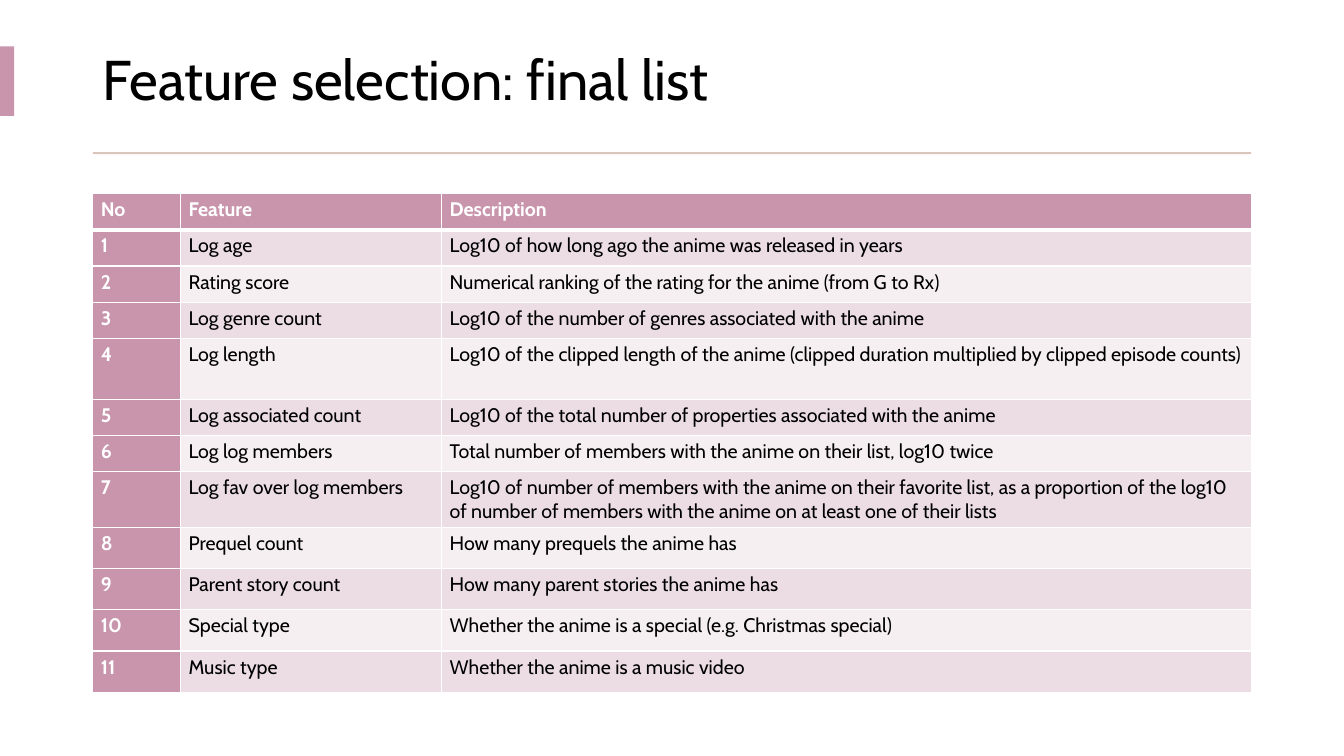
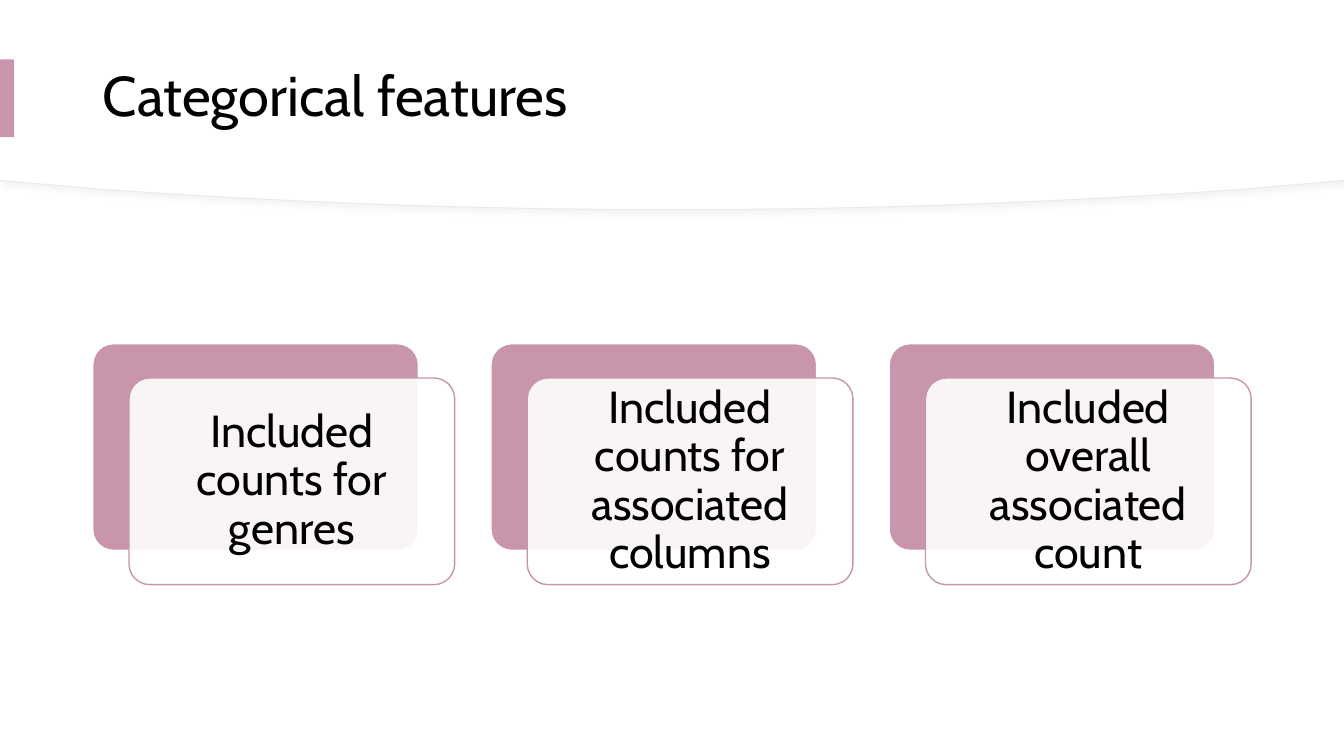
from lxml.etree import SubElement
from pptx import Presentation
from pptx.dml.color import RGBColor
from pptx.enum.shapes import MSO_SHAPE as SHAPE
from pptx.enum.text import MSO_ANCHOR as ANCHOR, PP_ALIGN as ALIGN
from pptx.oxml import parse_xml
from pptx.oxml.ns import nsdecls, qn
from pptx.util import Inches, Pt

FONT = "Cabin"
BLACK = RGBColor(0x00, 0x00, 0x00)
WHITE = RGBColor(0xFF, 0xFF, 0xFF)
ROSE = RGBColor(0xC8, 0x95, 0xAC)
ROSE_MID = RGBColor(0xEB, 0xDD, 0xE3)
ROSE_PALE = RGBColor(0xF5, 0xEF, 0xF1)
SAND = RGBColor(0xDB, 0xC6, 0xBD)
SAND_PALE = RGBColor(0xF0, 0xE8, 0xE5)

SLIDE_WIDTH, SLIDE_HEIGHT = 13.33, 7.5
MARGIN = 0.92
CONTENT_WIDTH = 11.49

FEATURES = [
    ("No", "Feature", "Description"),
    ("1", "Log age", "Log10 of how long ago the anime was released in years"),
    ("2", "Rating score", "Numerical ranking of the rating for the anime (from G to Rx)"),
    ("3", "Log genre count", "Log10 of the number of genres associated with the anime"),
    ("4", "Log length", "Log10 of the clipped length of the anime "
     "(clipped duration multiplied by clipped episode counts)"),
    ("5", "Log associated count",
     "Log10 of the total number of properties associated with the anime"),
    ("6", "Log log members", "Total number of members with the anime on their list, log10 twice"),
    ("7", "Log fav over log members",
     "Log10 of number of members with the anime on their favorite list, as a proportion "
     "of the log10 of number of members with the anime on at least one of their lists"),
    ("8", "Prequel count", "How many prequels the anime has"),
    ("9", "Parent story count", "How many parent stories the anime has"),
    ("10", "Special type", "Whether the anime is a special (e.g. Christmas special)"),
    ("11", "Music type", "Whether the anime is a music video"),
]
COLUMN_WIDTHS = [0.87, 2.59, 8.03]
ROW_HEIGHTS = [0.36] * 4 + [0.6] + [0.36] * 2 + [0.55] + [0.41] * 4

COUNTS = [
    "Included counts for genres",
    "Included counts for associated columns",
    "Included overall associated count",
]


def bezier(start, pull_1, pull_2, end, steps=24):
    for step in range(steps + 1):
        t = step / steps
        u = 1 - t
        yield tuple(
            u**3 * a + 3 * u**2 * t * b + 3 * u * t**2 * c + t**3 * d
            for a, b, c, d in zip(start, pull_1, pull_2, end)
        )


class Deck:
    def __init__(self):
        self.prs = Presentation()
        self.prs.slide_width = Inches(SLIDE_WIDTH)
        self.prs.slide_height = Inches(SLIDE_HEIGHT)
        self.slide = None

    def new_slide(self):
        self.slide = self.prs.slides.add_slide(self.prs.slide_layouts[6])

    def paint(self, shape, fill, line=None, weight=1):
        shape.shadow.inherit = False
        shape.fill.solid()
        shape.fill.fore_color.rgb = fill
        if line is None:
            shape.line.fill.background()
        else:
            shape.line.color.rgb = line
            shape.line.width = Pt(weight)

    def set_text(self, frame, text, size, color=BLACK, bold=False):
        frame.text = text
        frame.word_wrap = True
        font = frame.paragraphs[0].runs[0].font
        font.name, font.size, font.bold = FONT, Pt(size), bold
        font.color.rgb = color

    def box(self, left, top, width, height, fill, line=None, kind=SHAPE.RECTANGLE):
        shape = self.slide.shapes.add_shape(
            kind, Inches(left), Inches(top), Inches(width), Inches(height))
        self.paint(shape, fill, line)
        return shape

    def title(self, text, top, height, tab_top, tab_height):
        heading = self.slide.shapes.add_textbox(
            Inches(MARGIN), Inches(top), Inches(CONTENT_WIDTH), Inches(height))
        self.set_text(heading.text_frame, text, 40)
        heading.text_frame.vertical_anchor = ANCHOR.MIDDLE
        heading.text_frame.paragraphs[0].line_spacing = 0.9
        self.box(0, tab_top, 0.14, tab_height, ROSE)

    def curved_band(self, depth, line=None):
        shoulder, edge = depth - 0.21, depth - 0.29
        curve = bezier((12.42, shoulder), (10.65, depth - 0.08), (8.71, depth), (6.67, depth))
        right_half = [(SLIDE_WIDTH, edge), *curve]
        left_half = [(SLIDE_WIDTH - x, y) for x, y in reversed(right_half)]
        outline = [(SLIDE_WIDTH, 0), *right_half, *left_half]
        builder = self.slide.shapes.build_freeform(0, 0, scale=1.0)
        builder.add_line_segments([(Inches(x), Inches(y)) for x, y in outline], close=True)
        band = builder.convert_to_shape()
        self.paint(band, WHITE, line, 0.75)
        return band

    def soft_shadow(self, shape):
        effects = shape.element.spPr.find(qn("a:effectLst"))
        effects.append(parse_xml(
            f'<a:outerShdw {nsdecls("a")} blurRad="{Pt(4)}" dist="{Pt(3)}" dir="2700000">'
            '<a:srgbClr val="D9D9D9"><a:alpha val="30000"/></a:srgbClr></a:outerShdw>'))

    def borders(self, cell, **weights):
        properties = cell._tc.get_or_add_tcPr()
        for side in "LRTB":
            properties.append(parse_xml(
                f'<a:ln{side} {nsdecls("a")} w="{Pt(weights.get(side, 1))}">'
                f'<a:solidFill><a:srgbClr val="{WHITE}"/></a:solidFill></a:ln{side}>'))

    def table(self, left, top, rows, widths, heights):
        table = self.slide.shapes.add_table(
            len(rows), len(widths), Inches(left), Inches(top),
            Inches(sum(widths)), Inches(sum(heights))).table
        table.first_row = table.horz_banding = False
        for column, width in zip(table.columns, widths):
            column.width = Inches(width)
        for r, (texts, height) in enumerate(zip(rows, heights)):
            table.rows[r].height = Inches(height)
            for c, text in enumerate(texts):
                cell = table.cell(r, c)
                heading = r == 0 or c == 0
                cell.margin_left = cell.margin_right = Inches(0.08)
                cell.margin_top = cell.margin_bottom = Inches(0.04)
                self.borders(cell, T=3 if r == 1 else 1, B=3 if r == 0 else 1)
                cell.fill.solid()
                cell.fill.fore_color.rgb = ROSE if heading else (ROSE_PALE, ROSE_MID)[r % 2]
                self.set_text(cell.text_frame, text, 14, WHITE if heading else BLACK, heading)

    def card(self, left, top, text):
        width, height = 3.23, 2.05
        rounded = SHAPE.ROUNDED_RECTANGLE
        back = self.box(left, top, width, height, ROSE, WHITE, rounded)
        front = self.box(left + 0.36, top + 0.34, width, height, WHITE, ROSE, rounded)
        back.adjustments[0] = front.adjustments[0] = 0.1
        tint = front.element.spPr.find(qn("a:solidFill"))[0]
        SubElement(tint, qn("a:alpha")).set("val", "90000")
        frame = front.text_frame
        self.set_text(frame, text, 32)
        frame.vertical_anchor = ANCHOR.MIDDLE
        frame.margin_left = frame.margin_right = Inches(0.19)
        frame.margin_top = frame.margin_bottom = Inches(0.19)
        frame.paragraphs[0].alignment = ALIGN.CENTER
        frame.paragraphs[0].line_spacing = 0.9


def main():
    deck = Deck()

    deck.new_slide()
    deck.title("Feature selection: final list", 0.27, 1.1, 0.46, 0.69)
    deck.box(MARGIN, 1.51, CONTENT_WIDTH, 0.02, SAND)
    deck.table(MARGIN, 1.92, FEATURES, COLUMN_WIDTHS, ROW_HEIGHTS)

    deck.new_slide()
    deck.soft_shadow(deck.curved_band(2.08, SAND_PALE))
    deck.curved_band(2.07)
    deck.title("Categorical features", 0.28, 1.39, 0.59, 0.77)
    for i, text in enumerate(COUNTS):
        deck.card(MARGIN + i * 3.95, 3.41, text)

    deck.prs.save("out.pptx")


if __name__ == "__main__":
    main()
